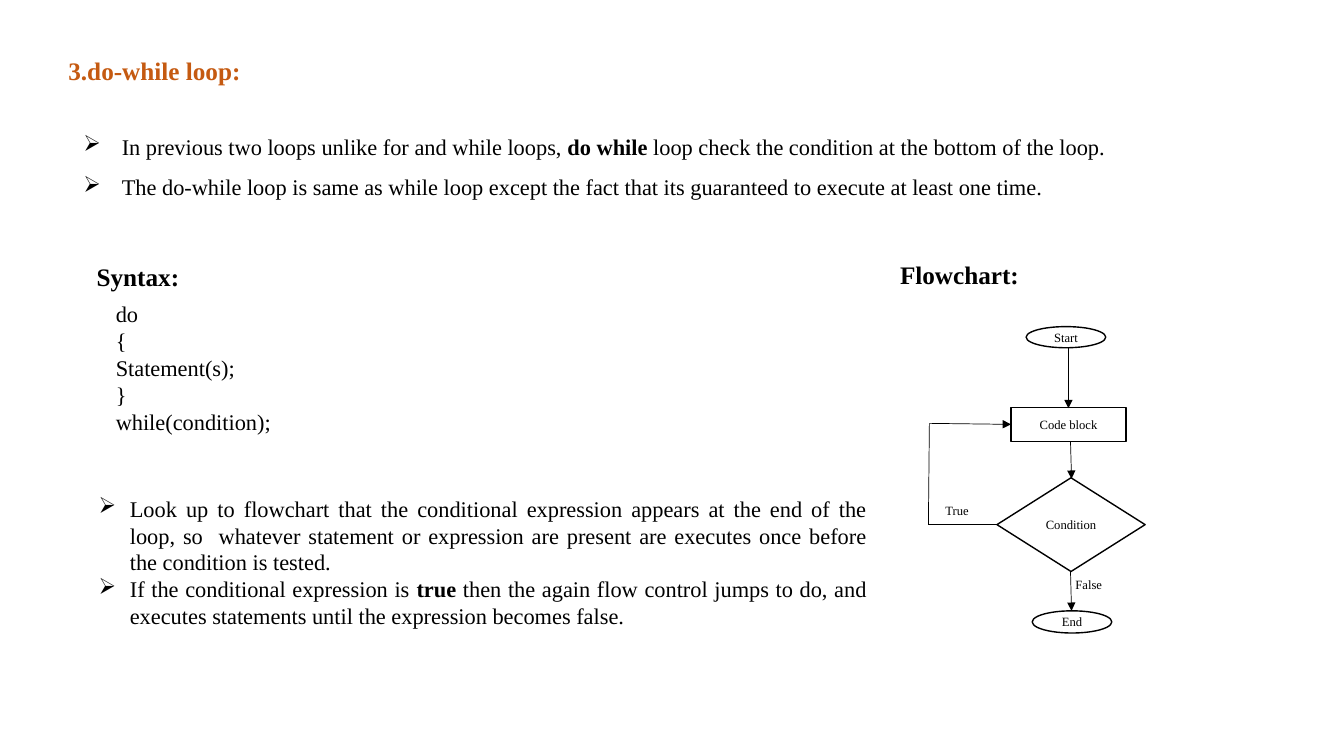
from dataclasses import dataclass

from lxml import etree
from pptx import Presentation
from pptx import util as u
from pptx.dml import color
from pptx.enum import shapes, text
from pptx.oxml import ns


@dataclass(frozen=True)
class Theme:
    font: str = "Times New Roman"
    accent: str = "C55A11"
    ink: str = "000000"
    paper: str = "FFFFFF"
    heading: float = 18
    body: float = 16
    label: float = 9
    outline: float = 1
    flow: float = 0.5
    bullet: str = "➢"


@dataclass(frozen=True)
class Box:
    """Left, top, width and height in grid columns and rows."""
    left: float
    top: float
    width: float
    height: float


@dataclass(frozen=True)
class Run:
    words: str
    bold: bool = False


@dataclass(frozen=True)
class TextBlock:
    box: Box
    paragraphs: list[list[Run]]
    size: float
    ink: str
    indent: float = 0  # hanging indent in columns; bullets when above zero
    spacing: float = 1


@dataclass(frozen=True)
class Node:
    kind: shapes.MSO_SHAPE
    box: Box
    label: str


@dataclass(frozen=True)
class Flow:
    start: tuple[float, float]
    end: tuple[float, float]
    arrow: bool = True


THEME = Theme()
COLUMNS, ROWS = 133.33, 75
presentation = Presentation()
presentation.slide_width = u.Inches(13.33)
presentation.slide_height = u.Inches(7.5)
slide = presentation.slides.add_slide(presentation.slide_layouts[6])


def across(columns: float) -> int:
    return round(presentation.slide_width * columns / COLUMNS)


def down(rows: float) -> int:
    return round(presentation.slide_height * rows / ROWS)


def place(box: Box) -> tuple[int, int, int, int]:
    return across(box.left), down(box.top), across(box.width), down(box.height)


def add_runs(paragraph, runs: list[Run], size: float, ink: str) -> None:
    for item in runs:
        run = paragraph.add_run()
        run.text = item.words
        run.font.name = THEME.font
        run.font.size = u.Pt(size)
        run.font.bold = item.bold
        run.font.color.rgb = color.RGBColor.from_string(ink)


def add_bullet(paragraph, indent: float) -> None:
    paragraph.alignment = text.PP_ALIGN.JUSTIFY
    properties = paragraph._p.get_or_add_pPr()
    properties.set("marL", str(across(indent)))
    properties.set("indent", str(-across(indent)))
    etree.SubElement(properties, ns.qn("a:buChar")).set("char", THEME.bullet)


def draw_text(block: TextBlock) -> None:
    frame = slide.shapes.add_textbox(*place(block.box)).text_frame
    frame.word_wrap = True
    frame.auto_size = text.MSO_AUTO_SIZE.SHAPE_TO_FIT_TEXT
    for index, runs in enumerate(block.paragraphs):
        paragraph = frame.add_paragraph() if index else frame.paragraphs[0]
        paragraph.line_spacing = block.spacing
        if block.indent:
            add_bullet(paragraph, block.indent)
        add_runs(paragraph, runs, block.size, block.ink)


def draw_node(node: Node) -> None:
    shape = slide.shapes.add_shape(node.kind, *place(node.box))
    shape.shadow.inherit = False
    shape.fill.solid()
    shape.fill.fore_color.rgb = color.RGBColor.from_string(THEME.paper)
    shape.line.color.rgb = color.RGBColor.from_string(THEME.ink)
    shape.line.width = u.Pt(THEME.outline)
    frame = shape.text_frame
    frame.margin_left = frame.margin_right = frame.margin_top = frame.margin_bottom = 0
    frame.vertical_anchor = text.MSO_ANCHOR.MIDDLE
    paragraph = frame.paragraphs[0]
    paragraph.alignment = text.PP_ALIGN.CENTER
    add_runs(paragraph, [Run(node.label)], THEME.label, THEME.ink)


def draw_flow(flow: Flow) -> None:
    (x1, y1), (x2, y2) = flow.start, flow.end
    connector = slide.shapes.add_connector(
        shapes.MSO_CONNECTOR.STRAIGHT, across(x1), down(y1), across(x2), down(y2))
    connector.line.color.rgb = color.RGBColor.from_string(THEME.ink)
    connector.line.width = u.Pt(THEME.flow)
    if flow.arrow:
        line = connector.line._get_or_add_ln()
        etree.SubElement(line, ns.qn("a:tailEnd")).set("type", "triangle")
    etree.SubElement(connector._element.spPr, ns.qn("a:effectLst"))


def heading(box: Box, words: str, ink: str = THEME.ink) -> TextBlock:
    return TextBlock(box, [[Run(words, True)]], THEME.heading, ink)


def branch(box: Box, words: str) -> TextBlock:
    return TextBlock(box, [[Run(words)]], THEME.label, THEME.ink)


# Headings, explanations, syntax and branch labels
intro = [
    [Run("In previous two loops unlike for and while loops, "), Run("do while ", True),
     Run("loop check the condition at the bottom of the loop.")],
    [Run("The do-while loop is same as while loop except the fact that its "
         "guaranteed to execute at least one time.")],
]
syntax = [[Run(line)] for line in ("do", "{", "Statement(s);", "}", "while(condition);")]
behaviour = [
    [Run("Look up to flowchart that the conditional expression appears at the end of "
         "the loop, so  whatever statement or expression are present are executes "
         "once before the condition is tested.")],
    [Run("If the conditional expression is "), Run("true", True),
     Run(" then the again flow control jumps to do, and executes statements until "
         "the expression becomes false.")],
]
text_blocks = [
    heading(Box(5.8, 5, 20.1, 4), "3.do-while loop:", THEME.accent),
    TextBlock(Box(7.3, 11.4, 104.4, 8.6), intro, THEME.body, THEME.ink, 3.8, 1.5),
    heading(Box(8.6, 25.4, 13.5, 4), "Syntax:"),
    TextBlock(Box(10.5, 29.3, 22.3, 14.5), syntax, THEME.body, THEME.ink),
    TextBlock(Box(8.8, 48.6, 78.2, 14.5), behaviour, THEME.body, THEME.ink, 3.1),
    heading(Box(88.3, 25.2, 20.3, 4), "Flowchart:"),
    branch(Box(105.7, 56.7, 5.7, 2.5), "False"),
    branch(Box(92.8, 49.4, 5, 2.5), "True"),
]

# Flowchart steps
nodes = [
    Node(shapes.MSO_SHAPE.OVAL, Box(101.8, 32.4, 7.9, 2.1), "Start"),
    Node(shapes.MSO_SHAPE.RECTANGLE, Box(100.3, 40.4, 11.4, 3.4), "Code block"),
    Node(shapes.MSO_SHAPE.DIAMOND, Box(98.9, 47.4, 14.7, 9.3), "Condition"),
    Node(shapes.MSO_SHAPE.OVAL, Box(102.4, 60.6, 7.9, 2.2), "End"),
]

# Downward flow, then the loop back to the code block
flows = [
    Flow((106, 34.5), (106, 40.5)),
    Flow((106.2, 43.8), (106.3, 47.5)),
    Flow((106.2, 56.7), (106.3, 60.6)),
    Flow((98.9, 52), (92.1, 52), arrow=False),
    Flow((92.1, 52), (92.2, 42), arrow=False),
    Flow((92.2, 42), (100.3, 42.1)),
]

for node in nodes:
    draw_node(node)
for flow in flows:
    draw_flow(flow)
for block in text_blocks:
    draw_text(block)

presentation.save("out.pptx")
